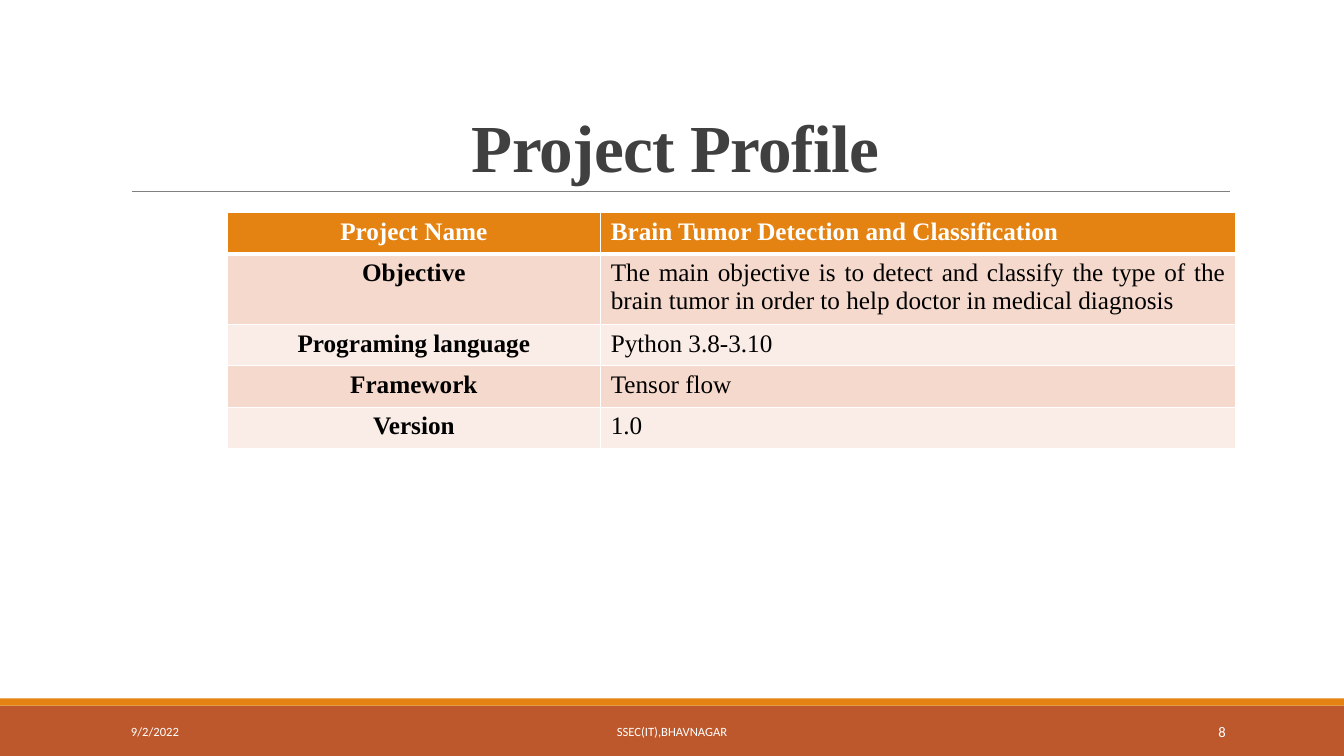
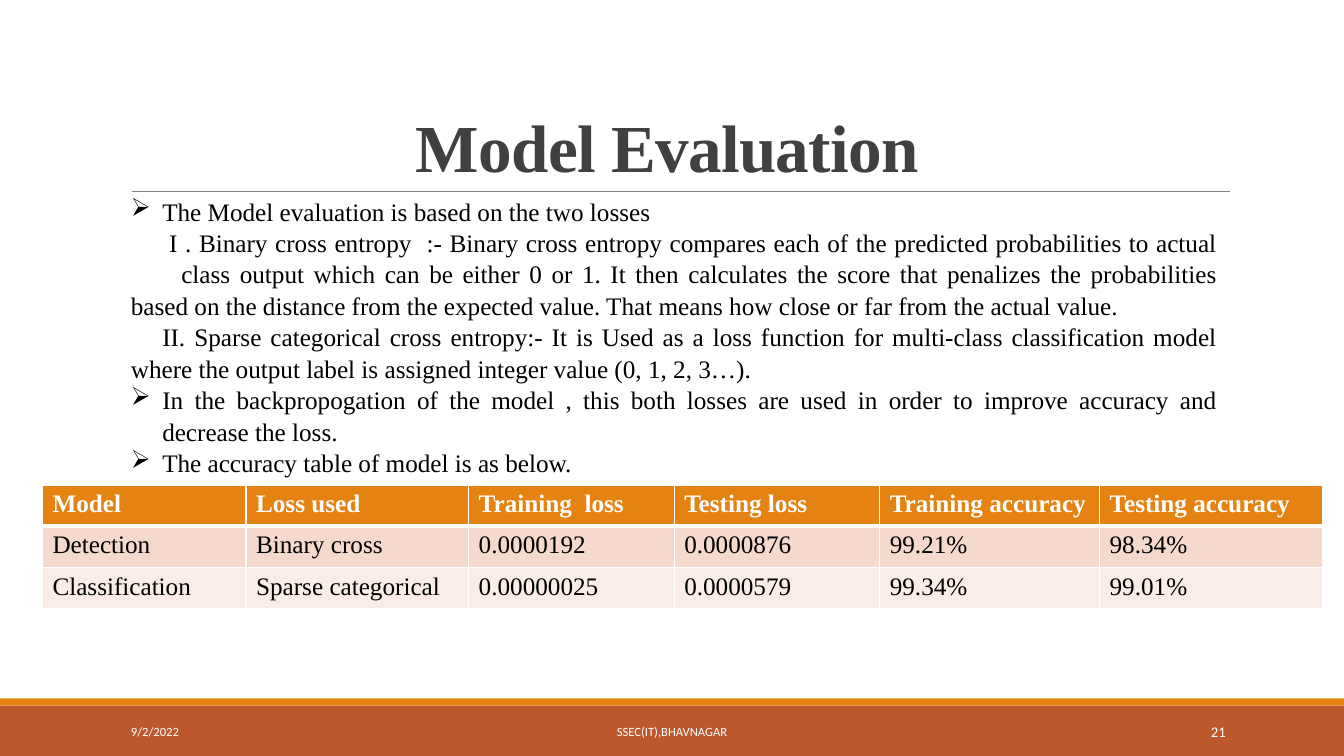
from dataclasses import dataclass

from lxml.etree import SubElement
from pptx import Presentation
from pptx.dml.color import RGBColor
from pptx.enum.shapes import MSO_CONNECTOR, MSO_SHAPE
from pptx.enum.text import MSO_ANCHOR, PP_ALIGN
from pptx.oxml.ns import qn
from pptx.slide import Slide
from pptx.util import Cm, Pt


@dataclass(frozen=True)
class Theme:
    white: str = "FFFFFF"
    black: str = "000000"
    title: str = "404040"
    rule: str = "808080"
    footer_band: str = "BD582C"
    accent: str = "E48312"
    row_bands: tuple[str, str] = ("F5D9CC", "FAEDE7")
    serif: str = "Times New Roman"
    sans: str = "Calibri"
    title_size: float = 48
    body_size: float = 18
    number_size: float = 10.5
    footer_size: float = 9


THEME = Theme()
SLIDE_WIDTH, SLIDE_HEIGHT = 33.87, 19.05
FOOTER_TOP, FOOTER_HEIGHT = 17.93, 1.02
ROW_HEIGHT = 1.04


@dataclass(frozen=True)
class Box:
    """A rectangle in centimetres."""
    left: float
    top: float
    width: float
    height: float

    def lengths(self) -> tuple[Cm, Cm, Cm, Cm]:
        return Cm(self.left), Cm(self.top), Cm(self.width), Cm(self.height)


@dataclass(frozen=True)
class Style:
    font: str
    size: float
    color: str
    align: PP_ALIGN = PP_ALIGN.LEFT
    bold: bool = False
    line_spacing: float | None = None
    tracking: int = 0


@dataclass(frozen=True)
class Item:
    """A body paragraph; indents and tab stop are in centimetres."""
    text: str
    margin: float = 0
    first_line: float = 0
    bullet: str = ""
    tab: float = 0


@dataclass(frozen=True)
class TableData:
    left: float
    top: float
    columns: tuple[float, ...]
    rows: tuple[tuple[str, ...], ...]
    row_headings: bool = False


@dataclass(frozen=True)
class Footer:
    text: str
    left: float
    width: float
    align: PP_ALIGN
    size: float = THEME.footer_size


TITLE_STYLE = Style(THEME.serif, THEME.title_size, THEME.title, PP_ALIGN.CENTER,
                    bold=True, line_spacing=0.85, tracking=-50)
BODY_STYLE = Style(THEME.serif, THEME.body_size, THEME.black, PP_ALIGN.JUSTIFY,
                   line_spacing=1.04)


def bullet_item(text: str) -> Item:
    return Item(text, margin=0.79, first_line=-0.79, bullet="➢")


PROFILE = TableData(
    5.72, 5.36, (9.42, 16.0),
    (
        ("Project Name", "Brain Tumor Detection and Classification"),
        ("Objective", "The main objective is to detect and classify the type of the "
                      "brain tumor in order to help doctor in medical diagnosis"),
        ("Programing language", "Python 3.8-3.10"),
        ("Framework", "Tensor flow"),
        ("Version", "1.0"),
    ),
    row_headings=True,
)

ACCURACY = TableData(
    1.07, 12.22, (5.13, 5.61, 5.18, 5.18, 5.54, 5.61),
    (
        ("Model", "Loss used", "Training  loss", "Testing loss",
         "Training accuracy", "Testing accuracy"),
        ("Detection", "Binary cross", "0.0000192", "0.0000876", "99.21%", "98.34%"),
        ("Classification", "Sparse categorical", "0.00000025", "0.0000579",
         "99.34%", "99.01%"),
    ),
)

EVALUATION = (
    bullet_item("The Model evaluation is based on the two losses"),
    Item("I . Binary cross entropy  :- Binary cross entropy compares each of the "
         "predicted probabilities to actual\v\tclass output which can be either 0 or 1. "
         "It then calculates the score that penalizes the probabilities\v"
         "based on the distance from the expected value. That means how close or far "
         "from the actual value.", first_line=0.96, tab=1.3),
    Item("II. Sparse categorical cross entropy:- It is Used as a loss function for "
         "multi-class classification model\vwhere the output label is assigned integer "
         "value (0, 1, 2, 3…).", first_line=0.79),
    bullet_item("In the backpropogation of the model , this both losses are used in "
                "order to improve accuracy and decrease the loss."),
    bullet_item("The accuracy table of model is as below."),
)


def apply_style(paragraph, style: Style) -> None:
    paragraph.alignment = style.align
    if style.line_spacing:
        paragraph.line_spacing = style.line_spacing
    font = paragraph.font
    font.name, font.size, font.bold = style.font, Pt(style.size), style.bold
    font.color.rgb = RGBColor.from_string(style.color)
    if style.tracking:
        font._element.set("spc", str(style.tracking))


def apply_indent(paragraph, item: Item) -> None:
    properties = paragraph._p.get_or_add_pPr()
    properties.set("marL", str(Cm(item.margin)))
    properties.set("indent", str(Cm(item.first_line)))
    if item.bullet:
        SubElement(properties, qn("a:buChar"), char=item.bullet)
    if item.tab:
        stops = SubElement(properties, qn("a:tabLst"))
        SubElement(stops, qn("a:tab"), pos=str(Cm(item.tab)), algn="l")


def add_text(slide: Slide, box: Box, items: tuple[Item, ...], style: Style,
             anchor: MSO_ANCHOR = MSO_ANCHOR.TOP) -> None:
    frame = slide.shapes.add_textbox(*box.lengths()).text_frame
    frame.word_wrap = True
    frame.vertical_anchor = anchor
    for index, item in enumerate(items):
        paragraph = frame.add_paragraph() if index else frame.paragraphs[0]
        paragraph.text = item.text
        apply_indent(paragraph, item)
        apply_style(paragraph, style)


def add_band(slide: Slide, box: Box, color: str) -> None:
    band = slide.shapes.add_shape(MSO_SHAPE.RECTANGLE, *box.lengths())
    band.shadow.inherit = False
    band.fill.solid()
    band.fill.fore_color.rgb = RGBColor.from_string(color)
    band.line.fill.background()


def add_title_rule(slide: Slide) -> None:
    rule = slide.shapes.add_connector(MSO_CONNECTOR.STRAIGHT,
                                      Cm(3.33), Cm(4.82), Cm(31.0), Cm(4.82))
    rule.line.color.rgb = RGBColor.from_string(THEME.rule)
    rule.line.width = Pt(0.5)
    SubElement(rule._element.spPr, qn("a:effectLst"))


def add_framed_slide(presentation, title: str, number: int) -> Slide:
    """Add a slide with the shared bands, title and footers."""
    slide = presentation.slides.add_slide(presentation.slide_layouts[6])
    add_band(slide, Box(0, 17.78, SLIDE_WIDTH, 1.27), THEME.footer_band)
    add_band(slide, Box(0, 17.6, SLIDE_WIDTH, 0.18), THEME.accent)
    add_title_rule(slide)
    add_text(slide, Box(3.05, 0.79, 27.94, 4.04), (Item(title),), TITLE_STYLE,
             MSO_ANCHOR.BOTTOM)
    footers = (
        Footer("9/2/2022", 3.05, 6.86, PP_ALIGN.LEFT),
        Footer("SSEC(IT),BHAVNAGAR", 10.24, 13.39, PP_ALIGN.CENTER),
        Footer(str(number), 27.51, 3.63, PP_ALIGN.RIGHT, THEME.number_size),
    )
    for footer in footers:
        add_text(slide, Box(footer.left, FOOTER_TOP, footer.width, FOOTER_HEIGHT),
                 (Item(footer.text),),
                 Style(THEME.sans, footer.size, THEME.white, footer.align),
                 MSO_ANCHOR.MIDDLE)
    return slide


def set_borders(cell, widths: dict[str, float]) -> None:
    """Draw white borders; call before the fill, which must follow them."""
    properties = cell._tc.get_or_add_tcPr()
    for side, width in widths.items():
        border = SubElement(properties, qn(f"a:{side}"), w=str(Pt(width)))
        fill = SubElement(border, qn("a:solidFill"))
        SubElement(fill, qn("a:srgbClr"), val=THEME.white)


def add_data_table(slide: Slide, data: TableData) -> None:
    box = Box(data.left, data.top, sum(data.columns), ROW_HEIGHT * len(data.rows))
    table = slide.shapes.add_table(len(data.rows), len(data.columns),
                                   *box.lengths()).table
    for column, width in zip(table.columns, data.columns):
        column.width = Cm(width)
    for row_index, texts in enumerate(data.rows):
        is_header = row_index == 0
        fill = THEME.accent if is_header else THEME.row_bands[(row_index - 1) % 2]
        for column_index, text in enumerate(texts):
            is_heading = data.row_headings and column_index == 0
            cell = table.cell(row_index, column_index)
            cell.text = text
            set_borders(cell, {"lnL": 1, "lnR": 1, "lnT": 3 if row_index == 1 else 1,
                               "lnB": 3 if is_header else 1})
            cell.fill.solid()
            cell.fill.fore_color.rgb = RGBColor.from_string(fill)
            apply_style(cell.text_frame.paragraphs[0], Style(
                THEME.serif, THEME.body_size,
                THEME.white if is_header else THEME.black,
                PP_ALIGN.CENTER if is_heading else PP_ALIGN.JUSTIFY,
                bold=is_header or is_heading))


def main() -> None:
    presentation = Presentation()
    presentation.slide_width = Cm(SLIDE_WIDTH)
    presentation.slide_height = Cm(SLIDE_HEIGHT)

    profile = add_framed_slide(presentation, "Project Profile", 8)
    add_data_table(profile, PROFILE)

    evaluation = add_framed_slide(presentation, "Model Evaluation ", 21)
    add_text(evaluation, Box(3.05, 4.78, 27.89, 7.95), EVALUATION, BODY_STYLE)
    add_data_table(evaluation, ACCURACY)

    presentation.save("out.pptx")


if __name__ == "__main__":
    main()
